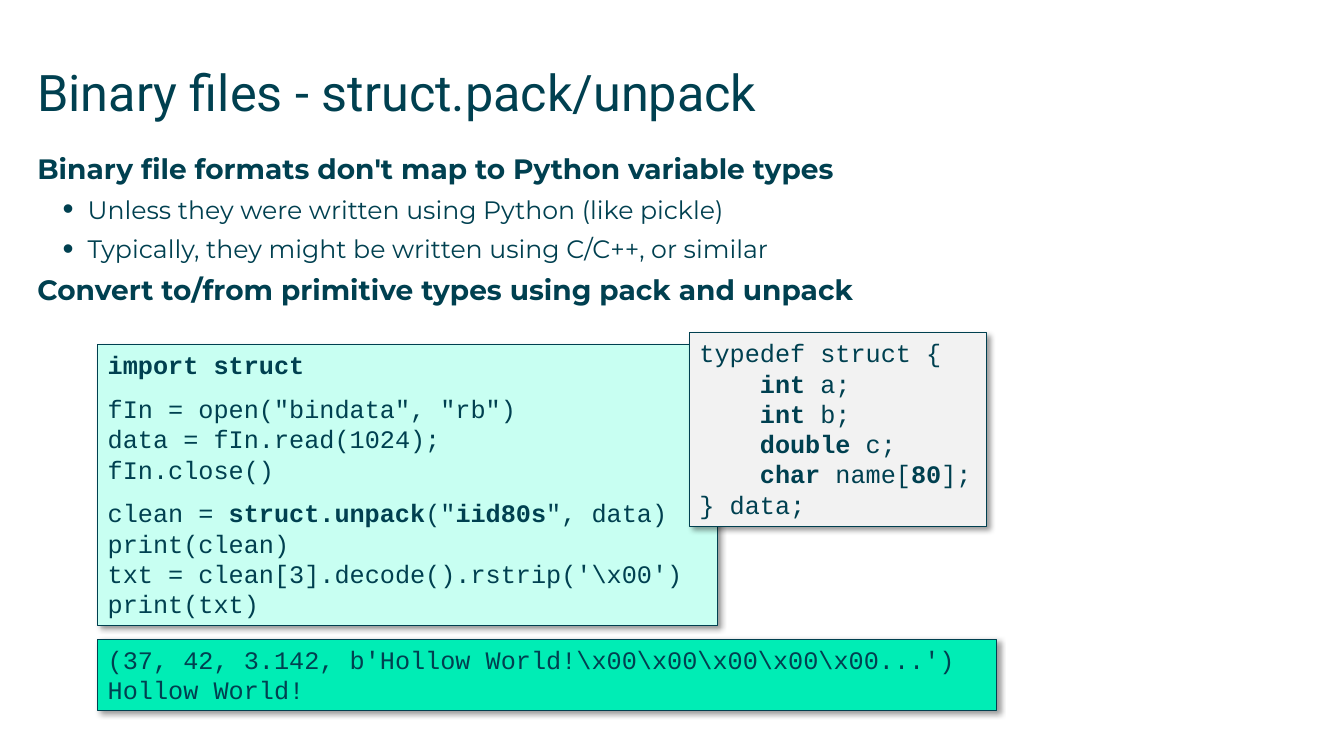
"""Build the slide on binary files and struct.pack/unpack."""
import dataclasses

import lxml.etree
import pptx
import pptx.dml.color
import pptx.enum.shapes
import pptx.enum.text
import pptx.oxml
import pptx.oxml.ns
import pptx.util

Pt = pptx.util.Pt
qn = pptx.oxml.ns.qn


@dataclasses.dataclass
class Theme:
    """Hold the colours, fonts and type sizes."""
    ink: str = "004050"
    mint: str = "C8FFF2"
    green: str = "00EDB5"
    gray: str = "F2F2F2"
    head: str = "Roboto"
    text: str = "Montserrat"
    mono: str = "Courier New"
    big: int = 36
    mid: int = 20
    small: int = 18


def color(code):
    """Turn a hex code into a colour."""
    return pptx.dml.color.RGBColor.from_string(code)


class Deck:
    """Hold the theme and the current slide."""

    def __init__(self, theme):
        """Start a wide deck with one slide."""
        self.theme = theme
        self.show = pptx.Presentation()
        self.show.slide_width = Pt(960)
        self.show.slide_height = Pt(540)
        self.slide = self.show.slides.add_slide(self.show.slide_layouts[1])

    def style(self, para, face, size, bold=False):
        """Format all runs of a paragraph."""
        para.alignment = pptx.enum.text.PP_ALIGN.LEFT
        for run in para.runs:
            run.font.name = face
            run.font.size = Pt(size)
            run.font.bold = bold
            run.font.color.rgb = color(self.theme.ink)

    def place(self, shape, left, top, width, height):
        """Move a placeholder and clear its insets."""
        shape.left, shape.top = Pt(left), Pt(top)
        shape.width, shape.height = Pt(width), Pt(height)
        frame = shape.text_frame
        frame.margin_left = frame.margin_right = 0
        frame.margin_top = frame.margin_bottom = 0
        frame.word_wrap = True
        frame.auto_size = pptx.enum.text.MSO_AUTO_SIZE.NONE
        frame.vertical_anchor = pptx.enum.text.MSO_ANCHOR.TOP
        return frame

    def title(self, text, *area):
        """Fill the title."""
        frame = self.place(self.slide.shapes.title, *area)
        frame.text = text
        self.style(frame.paragraphs[0], self.theme.head, self.theme.big)

    def bullet(self, para):
        """Set the indent and bullet for the level."""
        props = para._p.get_or_add_pPr()
        props.set("marL", str(Pt(36 * para.level)))
        props.set("indent", str(Pt(-18 * para.level)))
        if para.level:
            lxml.etree.SubElement(props, qn("a:buSzPct"), val="125000")
            lxml.etree.SubElement(props, qn("a:buFont"), typeface="Arial")
            lxml.etree.SubElement(props, qn("a:buChar"), char="•")
        else:
            lxml.etree.SubElement(props, qn("a:buNone"))

    def body(self, items, *area):
        """Fill the body with (level, text) items."""
        frame = self.place(self.slide.placeholders[1], *area)
        frame.text = "\n".join(text for _, text in items)
        for para, (level, _) in zip(frame.paragraphs, items):
            para.level = level
            self.bullet(para)
            para.space_before = Pt(0)
            para.space_after = Pt(6.5)
            size = self.theme.small if level else self.theme.mid
            self.style(para, self.theme.text, size, not level)

    def shade(self, shape):
        """Give a shape a soft shadow."""
        shape.shadow.inherit = False
        effects = shape._element.spPr.find(qn("a:effectLst"))
        shadow = lxml.etree.SubElement(
            effects, qn("a:outerShdw"), blurRad=str(Pt(4)), dist=str(Pt(3)),
            dir="2700000", algn="tl", rotWithShape="0")
        black = lxml.etree.SubElement(shadow, qn("a:srgbClr"), val="000000")
        lxml.etree.SubElement(black, qn("a:alpha"), val="40000")

    def line(self, para, text):
        """Write a code line; text between asterisks is bold."""
        parts = text.split("*")
        para.text = parts[0]
        for part in parts[1:]:
            para.add_run().text = part
        self.style(para, self.theme.mono, self.theme.small)
        for run in para.runs[-len(parts) + 1::2] if parts[1:] else []:
            run.font.bold = True

    def code(self, blocks, fill, left, top, width, height, wrap=False):
        """Draw a box with blocks of code lines."""
        shape = self.slide.shapes.add_shape(
            pptx.enum.shapes.MSO_SHAPE.RECTANGLE,
            Pt(left), Pt(top), Pt(width), Pt(height))
        shape.fill.solid()
        shape.fill.fore_color.rgb = color(fill)
        shape.line.color.rgb = color(self.theme.ink)
        shape.line.width = Pt(0.75)
        self.shade(shape)
        frame = shape.text_frame
        frame.word_wrap = wrap
        frame.auto_size = pptx.enum.text.MSO_AUTO_SIZE.SHAPE_TO_FIT_TEXT
        frame.vertical_anchor = pptx.enum.text.MSO_ANCHOR.TOP
        para = frame.paragraphs[0]
        for block in blocks:
            for row, text in enumerate(block.split("\n")):
                if block != blocks[0] or row:
                    para = frame.add_paragraph()
                    para.space_before = Pt(0 if row else 9.6)
                self.line(para, text)


def main():
    """Build and save the slide."""
    theme = Theme()
    deck = Deck(theme)
    deck.title("Binary files - struct.pack/unpack", 26.64, 44, 907, 63)
    deck.body([
        (0, "Binary file formats don't map to Python variable types"),
        (1, "Unless they were written using Python (like pickle)"),
        (1, "Typically, they might be written using C/C++, or similar"),
        (0, "Convert to/from primitive types using pack and unpack"),
    ], 26.64, 108, 907, 390)
    deck.code([
        "*import struct*",
        'fIn = open("bindata", "rb")\ndata = fIn.read(1024);\nfIn.close()',
        'clean = *struct.unpack*("*iid80s*", data)\nprint(clean)\n'
        "txt = clean[3].decode().rstrip('\\x00')\nprint(txt)",
    ], theme.mint, 69.84, 246.24, 442.8, 200.88)
    deck.code([
        "(37, 42, 3.142, b'Hollow World!\\x00\\x00\\x00\\x00\\x00...')\n"
        "Hollow World!",
    ], theme.green, 69.84, 456.48, 642.24, 51.12, wrap=True)
    deck.code([
        "typedef struct {\n    *int* a;\n    *int* b;\n    *double* c;\n"
        "    *char* name[*80*];\n} data;",
    ], theme.gray, 492.48, 237.6, 212.4, 138.24)
    deck.show.save("out.pptx")


if __name__ == "__main__":
    main()
